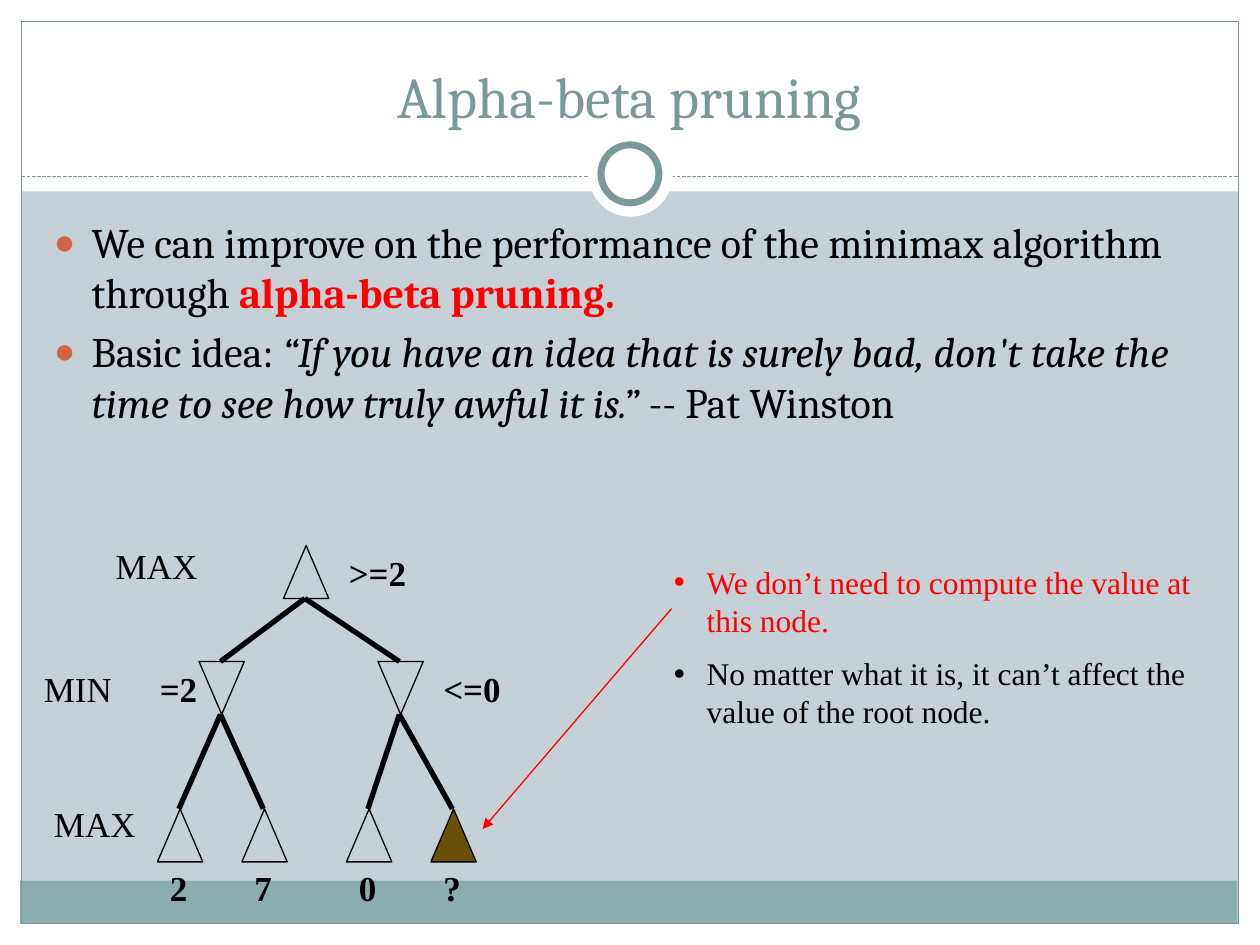
from lxml import etree
from pptx import Presentation
from pptx import util as u
from pptx.dml.color import RGBColor
from pptx.enum import dml, shapes, text
from pptx.oxml.ns import qn

COLORS = {
    "paper": "C5D1D7", "white": "FFFFFF", "band": "8CADAE", "teal": "7C999A",
    "bullet": "D16349", "black": "000000", "red": "FF0000", "brown": "694F07",
}
SERIF = "Times New Roman"
HEADING = "Cambria"
NODE_WIDTH, NODE_HEIGHT, APEX = 0.36, 0.42, 0.17
LEVELS = {"root": 4.33, "min": 5.25, "leaf": 6.42}
NODES = {
    "root": ("root", 2.25), "right": ("min", 3), "left": ("min", 1.58),
    "seven": ("leaf", 1.92), "two": ("leaf", 1.25),
    "unknown": ("leaf", 3.42), "zero": ("leaf", 2.75),
}
EDGES = [
    ("root", "left"), ("root", "right"), ("left", "two"),
    ("left", "seven"), ("right", "zero"), ("right", "unknown"),
]
VALUES = [
    ("2", 1.25, 6.83, 0.34), ("7", 1.92, 6.83, 0.34), ("0", 2.75, 6.83, 0.34),
    ("?", 3.42, 6.83, 0.34), ("=2", 1.17, 5.25, 0.5), (">=2", 2.67, 4.33, 0.66),
    ("<=0", 3.42, 5.25, 0.66),
]
PLAYERS = [("MAX", 0.82, 4.27, 0.85), ("MAX", 0.33, 6.32, 0.85), ("MIN", 0.25, 5.25, 0.74)]


def color(name):
    return RGBColor.from_string(COLORS[name])


def add_shape(page, kind, left, top, width, height, fill=None, line=None, weight=0.75):
    shape = page.shapes.add_shape(
        kind, u.Inches(left), u.Inches(top), u.Inches(width), u.Inches(height))
    shape.shadow.inherit = False
    if fill:
        shape.fill.solid()
        shape.fill.fore_color.rgb = color(fill)
    else:
        shape.fill.background()
    if line:
        shape.line.color.rgb = color(line)
        shape.line.width = u.Pt(weight)
    else:
        shape.line.fill.background()
    return shape


def add_line(page, start, end, line, weight=0.75, dash=None, arrow=False):
    connector = page.shapes.add_connector(
        shapes.MSO_CONNECTOR.STRAIGHT, *[u.Inches(value) for value in (*start, *end)])
    connector.line.color.rgb = color(line)
    connector.line.width = u.Pt(weight)
    if dash:
        connector.line.dash_style = dash
    if arrow:
        etree.SubElement(connector.line._get_or_add_ln(), qn("a:tailEnd"), type="triangle")
    etree.SubElement(connector._element.spPr, qn("a:effectLst"))


def add_box(page, left, top, width, height, wrap=True, anchor=text.MSO_ANCHOR.TOP):
    box = page.shapes.add_textbox(
        u.Inches(left), u.Inches(top), u.Inches(width), u.Inches(height))
    box.text_frame.word_wrap = wrap
    box.text_frame.vertical_anchor = anchor
    return box.text_frame


def add_text(para, words, size=20, font=SERIF, ink="black", bold=False, italic=False):
    span = para.add_run()
    span.text = words
    span.font.size = u.Pt(size)
    span.font.name = font
    span.font.color.rgb = color(ink)
    span.font.bold = bold
    span.font.italic = italic


def add_bullet(para, mark, indent, ink=None, percent=100):
    props = para._p.get_or_add_pPr()
    props.set("marL", str(u.Inches(indent)))
    props.set("indent", str(-u.Inches(indent)))
    if ink:
        holder = etree.SubElement(props, qn("a:buClr"))
        etree.SubElement(holder, qn("a:srgbClr"), val=COLORS[ink])
    etree.SubElement(props, qn("a:buSzPct"), val=str(percent * 1000))
    etree.SubElement(props, qn("a:buFont"), typeface="Arial")
    etree.SubElement(props, qn("a:buChar"), char=mark)


def add_bullets(frame, items, gap, mark, indent, ink=None, percent=100, **style):
    for index, spans in enumerate(items):
        para = frame.add_paragraph() if index else frame.paragraphs[0]
        add_bullet(para, mark, indent, ink, percent)
        if index:
            para.space_before = u.Pt(gap)
        for words, extra in spans:
            add_text(para, words, **style, **extra)


def add_label(page, words, left, top, width, bold=False):
    frame = add_box(page, left, top, width, 0.43, wrap=False)
    frame.auto_size = text.MSO_AUTO_SIZE.SHAPE_TO_FIT_TEXT
    add_text(frame.paragraphs[0], words, bold=bold)


def add_frame(page):
    rectangle, oval = shapes.MSO_SHAPE.RECTANGLE, shapes.MSO_SHAPE.OVAL
    for area in [(0, 7.33, 10, 0.17), (0, 0, 10, 1.52), (0, 0, 0.17, 7.5), (9.83, 0, 0.17, 7.5)]:
        add_shape(page, rectangle, *area, fill="white")
    add_shape(page, rectangle, 0.16, 6.99, 9.66, 0.34, fill="band")
    add_shape(page, rectangle, 0.17, 0.17, 9.66, 7.16, line="teal")
    add_line(page, (0.17, 1.4), (9.83, 1.4), "teal", dash=dml.MSO_LINE.SQUARE_DOT)
    add_shape(page, oval, 4.67, 1.05, 0.67, 0.67, fill="white")
    add_shape(page, oval, 4.77, 1.15, 0.46, 0.46, fill="white", line="teal", weight=4)


def add_tree(page):
    for name, (level, left) in NODES.items():
        node = add_shape(
            page, shapes.MSO_SHAPE.ISOSCELES_TRIANGLE, left, LEVELS[level],
            NODE_WIDTH, NODE_HEIGHT, line="black",
            fill="brown" if name == "unknown" else "paper")
        if level == "min":
            node._element.spPr.xfrm.set("flipV", "1")
    for parent, child in EDGES:
        parent_level, parent_left = NODES[parent]
        child_level, child_left = NODES[child]
        add_line(page, (child_left + APEX, LEVELS[child_level]),
                 (parent_left + APEX, LEVELS[parent_level] + NODE_HEIGHT), "black", weight=3)
    for value in VALUES:
        add_label(page, *value, bold=True)
    for player in PLAYERS:
        add_label(page, *player)


def main():
    deck = Presentation()
    deck.slide_width, deck.slide_height = u.Inches(10), u.Inches(7.5)
    page = deck.slides.add_slide(deck.slide_layouts[6])
    page.background.fill.solid()
    page.background.fill.fore_color.rgb = color("paper")
    add_frame(page)

    title = add_box(page, 0.33, 0.25, 9.33, 0.83, anchor=text.MSO_ANCHOR.BOTTOM).paragraphs[0]
    title.alignment = text.PP_ALIGN.CENTER
    add_text(title, "Alpha-beta pruning", size=33, font=HEADING, ink="teal")

    add_bullets(add_box(page, 0.33, 1.67, 9.3, 5), [
        [("We can improve on the performance of the minimax algorithm through ", {}),
         ("alpha-beta pruning.", {"ink": "red", "bold": True})],
        [("Basic idea: ", {}),
         ("“If you have an idea that is surely bad, don't take the time to see "
          "how truly awful it is.”", {"italic": True}),
         (" -- Pat Winston", {})],
    ], gap=4.8, mark="●", indent=0.3, ink="bullet", percent=85, size=24, font=HEADING)

    add_tree(page)
    add_bullets(add_box(page, 5.25, 4.42, 4.42, 2.3), [
        [("We don’t need to compute the value at this node.", {"ink": "red"})],
        [("No matter what it is, it can’t affect the value of the root node.", {})],
    ], gap=9, mark="•", indent=0.26, size=18)
    add_line(page, (5.33, 4.83), (3.83, 6.58), "red", arrow=True)
    deck.save("out.pptx")


if __name__ == "__main__":
    main()
